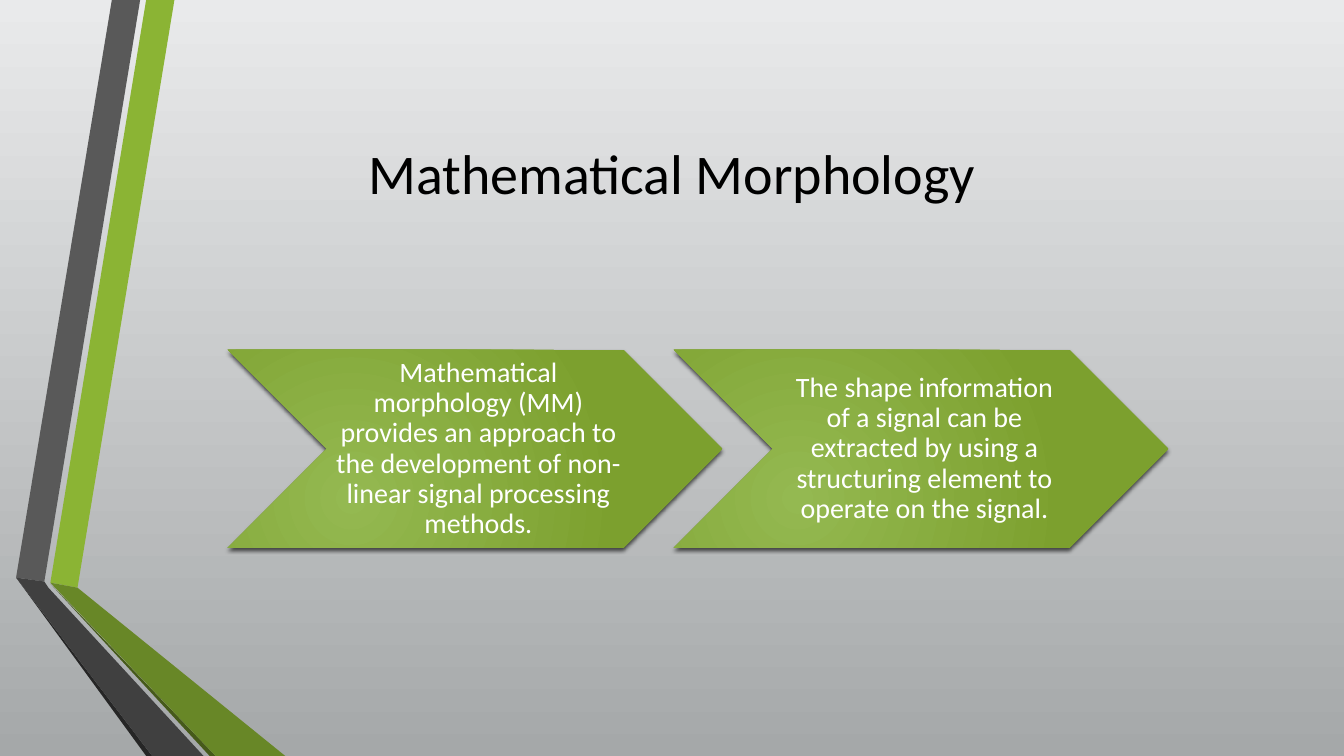
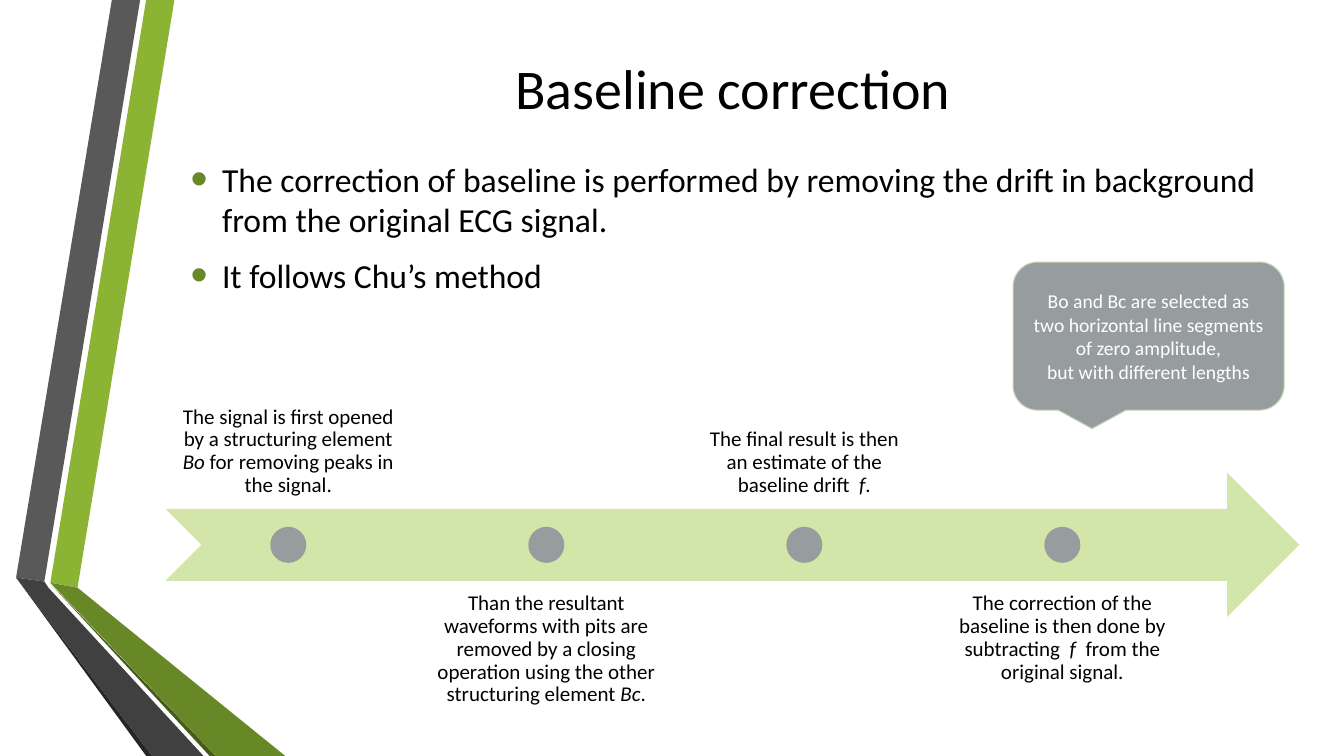
from dataclasses import dataclass

from lxml.etree import SubElement
from pptx import Presentation
from pptx.dml.color import RGBColor
from pptx.enum.shapes import MSO_SHAPE
from pptx.enum.text import MSO_ANCHOR, MSO_AUTO_SIZE, PP_ALIGN
from pptx.oxml.ns import qn
from pptx.util import Pt


@dataclass(frozen=True)
class Theme:
    font: str = "Calibri"
    title_size: int = 40
    body_size: int = 24
    chevron_size: int = 20
    step_size: int = 15
    callout_size: int = 14
    ink: str = "000000"
    paper: str = "FFFFFF"
    backdrop: tuple = ("E9EAEB", "A5A8A9")
    chevron: tuple = ("94B951", "7CA02E")
    lime: str = "8BB434"
    olive: str = "688727"
    deep_olive: str = "465A1A"
    gray: str = "595959"
    charcoal: str = "404040"
    soot: str = "262626"
    timeline: str = "D2E6A9"
    marker: str = "979D9F"
    callout_edge: str = "C4D6AE"


THEME = Theme()

# Ribbon outlines, in points
RIBBONS = [
    (THEME.lime, [(36, 416.2), (55.4, 419.8), (124.6, 0), (104.4, 0)]),
    (THEME.gray, [(100.1, 0), (79.9, 0), (11.5, 412.6), (31.7, 415.4)]),
    (THEME.soot, [(11.5, 412.6), (104.4, 540), (108.7, 540)]),
    (THEME.deep_olive, [(36, 416.9), (149.8, 540), (154.1, 540)]),
    (THEME.olive, [(36, 416.2), (154.1, 540), (203.8, 540), (55.4, 419.8)]),
    (THEME.charcoal, [(145.4, 540), (34.6, 419.8), (31.7, 415.4),
                      (11.5, 412.6), (108.7, 540)]),
]


def assign(target, values):
    for name, value in values.items():
        setattr(target, name, value)


def add_xml(parent, tag, **attributes):
    return SubElement(parent, qn(tag), attributes)


class Deck:
    def __init__(self, theme):
        self.theme = theme
        self.prs = Presentation()
        assign(self.prs, {"slide_width": Pt(960), "slide_height": Pt(540)})
        self.slide = None

    def new_slide(self, layout):
        self.slide = self.prs.slides.add_slide(self.prs.slide_layouts[layout])

    def background(self, *colors):
        fill = self.slide.background.fill
        if len(colors) == 1:
            fill.solid()
            fill.fore_color.rgb = RGBColor.from_string(colors[0])
        else:
            self.gradient(fill, colors)
            fill.gradient_angle = 270

    def gradient(self, fill, colors):
        fill.gradient()
        for stop, color in zip(fill.gradient_stops, colors):
            stop.color.rgb = RGBColor.from_string(color)

    def paint(self, shape, color, edge=None):
        shape.shadow.inherit = False
        shape.fill.solid()
        shape.fill.fore_color.rgb = RGBColor.from_string(color)
        if edge:
            shape.line.color.rgb = RGBColor.from_string(edge)
            shape.line.width = Pt(0.75)
        else:
            shape.line.fill.background()

    def ribbons(self, outlines):
        """Draw the ribbons and hand them to the master."""
        master_tree = self.prs.slide_master.shapes._spTree
        for color, outline in outlines:
            corners = [(Pt(x), Pt(y)) for x, y in outline]
            builder = self.slide.shapes.build_freeform(*corners[0])
            builder.add_line_segments(corners[1:], close=True)
            ribbon = builder.convert_to_shape()
            self.paint(ribbon, color)
            master_tree.append(ribbon._element)

    def add_text(self, paragraph, text, size, color):
        """Add text; underscores enclose italics, newlines break lines."""
        for i, piece in enumerate(text.split("_")):
            for j, line in enumerate(piece.split("\n")):
                if j:
                    paragraph.add_line_break()
                run = paragraph.add_run()
                run.text = line
                assign(run.font, {"name": self.theme.font, "size": Pt(size),
                                  "italic": i % 2 == 1})
                run.font.color.rgb = RGBColor.from_string(color)
        for line_break in paragraph._p.findall(qn("a:br")):
            add_xml(line_break, "a:rPr", sz=str(size * 100))

    def place(self, shape, box):
        assign(shape, dict(zip(("left", "top", "width", "height"), map(Pt, box))))

    def frame(self, shape, anchor=MSO_ANCHOR.MIDDLE, insets=None):
        frame = shape.text_frame
        assign(frame, {"word_wrap": True, "auto_size": MSO_AUTO_SIZE.NONE,
                       "vertical_anchor": anchor})
        if insets:
            sides = ("margin_left", "margin_top", "margin_right", "margin_bottom")
            assign(frame, dict(zip(sides, map(Pt, insets))))
        return frame

    def title(self, text, box):
        title = self.slide.shapes.title
        self.place(title, box)
        heading = self.frame(title).paragraphs[0]
        heading.alignment = PP_ALIGN.CENTER
        self.add_text(heading, text, self.theme.title_size, self.theme.ink)

    def bullets(self, points, box):
        body = self.slide.placeholders[1]
        self.place(body, box)
        frame = self.frame(body)
        for i, point in enumerate(points):
            item = frame.add_paragraph() if i else frame.paragraphs[0]
            assign(item, {"space_before": Pt(4.8), "space_after": Pt(6)})
            self.add_text(item, point, self.theme.body_size, self.theme.ink)
            props = item._p.get_or_add_pPr()
            hanging = {"marL": Pt(22.5), "indent": Pt(-22.5)}
            for name, value in hanging.items():
                props.set(name, str(value))
            add_xml(add_xml(props, "a:buClr"), "a:srgbClr", val=self.theme.olive)
            add_xml(props, "a:buSzPct", val="145000")
            add_xml(props, "a:buFont", typeface="Arial")
            add_xml(props, "a:buChar", char="•")

    def label(self, text, box, size, color, anchor, insets):
        label = self.slide.shapes.add_textbox(*map(Pt, box))
        paragraph = self.frame(label, anchor, insets).paragraphs[0]
        assign(paragraph, {"alignment": PP_ALIGN.CENTER, "line_spacing": 0.9})
        self.add_text(paragraph, text, size, color)

    def shape(self, kind, box, color, edge=None):
        shape = self.slide.shapes.add_shape(kind, *map(Pt, box))
        self.paint(shape, color, edge)
        return shape

    def chevron(self, text, left, top, width, height):
        chevron = self.shape(MSO_SHAPE.CHEVRON, (left, top, width, height),
                             self.theme.chevron[0])
        # Radial gradient
        self.gradient(chevron.fill, self.theme.chevron)
        props = chevron._element.spPr
        gradient = props.find(qn("a:gradFill"))
        gradient.remove(gradient.find(qn("a:lin")))
        radial = add_xml(gradient, "a:path", path="circle")
        add_xml(radial, "a:fillToRect", l="50000", t="100000", r="100000", b="50000")
        # Soft shadow below
        shadow = add_xml(props.find(qn("a:effectLst")), "a:outerShdw",
                         blurRad=str(Pt(3)), dist=str(Pt(2)), dir="5400000",
                         algn="ctr", rotWithShape="0")
        tint = add_xml(shadow, "a:srgbClr", val=self.theme.ink)
        add_xml(tint, "a:alpha", val="64000")
        # The text keeps clear of notch and tip
        notch = height / 2
        self.label(text, (left + notch, top, width - 2 * notch, height),
                   self.theme.chevron_size, self.theme.paper,
                   MSO_ANCHOR.MIDDLE, (6.5, 2, 2, 2))

    def timeline(self, steps, left, top, width, height):
        self.shape(MSO_SHAPE.NOTCHED_RIGHT_ARROW, (left, top, width, height),
                   self.theme.timeline)
        pitch, label_width, dot = 184.3, 175.7, height / 4
        for i, step in enumerate(steps):
            x = left + i * pitch
            above = i % 2 == 0
            label_top = top + height * (-0.75 if above else 0.75)
            self.label(step, (x, label_top, label_width, height),
                       self.theme.step_size, self.theme.ink,
                       MSO_ANCHOR.BOTTOM if above else MSO_ANCHOR.TOP, (8.5,) * 4)
            self.shape(MSO_SHAPE.OVAL,
                       (x + (label_width - dot) / 2, top + (height - dot) / 2, dot, dot),
                       self.theme.marker)

    def callout(self, text, box):
        callout = self.shape(MSO_SHAPE.ROUNDED_RECTANGULAR_CALLOUT, box,
                             self.theme.marker, self.theme.callout_edge)
        remark = self.frame(callout).paragraphs[0]
        remark.alignment = PP_ALIGN.CENTER
        self.add_text(remark, text, self.theme.callout_size, self.theme.paper)


deck = Deck(THEME)

# Slide 1: mathematical morphology
deck.new_slide(5)
deck.ribbons(RIBBONS)
deck.background(*THEME.backdrop)
deck.title("Mathematical Morphology", (244, 54, 471.6, 138.2))
principles = [
    "Mathematical morphology (MM) provides an approach to the development of "
    "non-linear signal processing methods.",
    "The shape information of a signal can be extracted by using a structuring "
    "element to operate on the signal.",
]
for i, principle in enumerate(principles):
    deck.chevron(principle, 162.7 + i * 318.6, 249.8, 353.6, 141.6)

# Slide 2: baseline correction
deck.new_slide(1)
deck.background(THEME.paper)
deck.title("Baseline correction", (128.9, 21.6, 789.1, 80.6))
deck.bullets([
    "The correction of baseline is performed by removing the drift in background "
    "from the original ECG signal.",
    "It follows Chu’s method",
], (128.9, 101.5, 789.1, 121))
deck.timeline([
    "The signal is first opened by a structuring element _Bo_ for removing peaks "
    "in the signal.",
    "Than the resultant waveforms with pits are removed by a closing operation "
    "using the other structuring element _Bc_.",
    "The final result is then\nan estimate of the baseline drift\u00a0\u00a0_f_.",
    "The correction of the baseline is then done by subtracting\u00a0\u00a0_f\u00a0_ "
    "from the original signal.",
], 118.1, 337.7, 810, 103)
deck.callout("Bo and Bc are selected as two horizontal line\u00a0segments of zero "
             "amplitude,\nbut with different lengths", (723.6, 187.2, 193.7, 105.8))

deck.prs.save("out.pptx")
